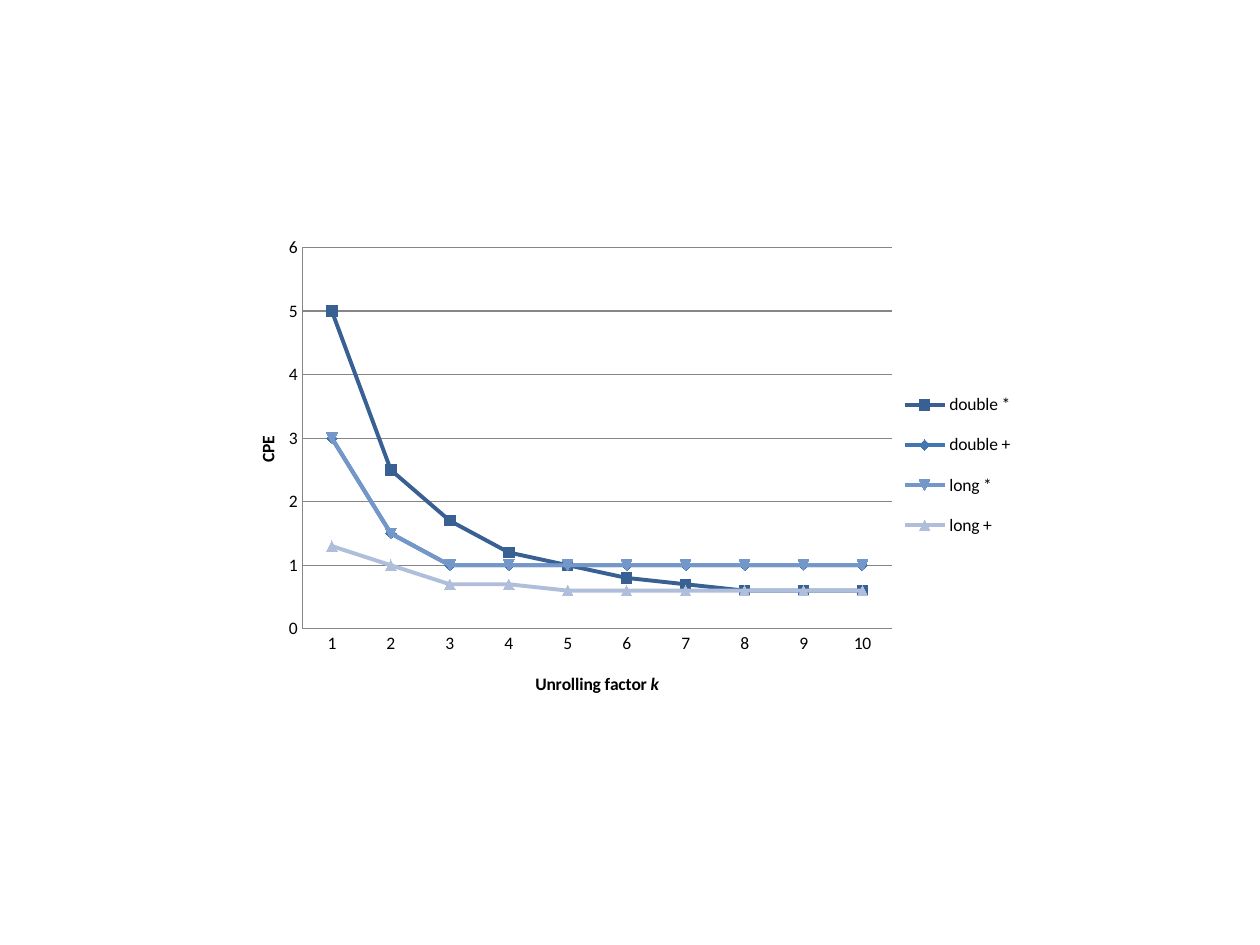
from typing import NamedTuple

from lxml.etree import SubElement
from pptx import Presentation
from pptx.chart.data import CategoryChartData
from pptx.dml.color import RGBColor
from pptx.enum.chart import XL_CHART_TYPE as ChartType
from pptx.enum.chart import XL_LEGEND_POSITION as LegendPosition
from pptx.enum.chart import XL_TICK_MARK as TickMark
from pptx.oxml.ns import qn
from pptx.util import Inches, Pt

FONT = "Calibri"
FONT_SIZE = Pt(10)
BLACK = RGBColor(0x00, 0x00, 0x00)
GRID_GRAY = RGBColor(0x86, 0x86, 0x86)
NAVY = RGBColor(0x38, 0x60, 0x93)
BLUE = RGBColor(0x43, 0x75, 0xB3)
SKY = RGBColor(0x73, 0x97, 0xC8)
PALE = RGBColor(0xAF, 0xBE, 0xDA)


class Measurement(NamedTuple):
    name: str
    color: RGBColor
    cpe: list[float]


MEASUREMENTS = [
    Measurement("double *", NAVY, [5, 2.5, 1.7, 1.2, 1, 0.8, 0.7, 0.6, 0.6, 0.6]),
    Measurement("double +", BLUE, [3, 1.5] + [1] * 8),
    Measurement("long *", SKY, [3, 1.5] + [1] * 8),
    Measurement("long +", PALE, [1.3, 1, 0.7, 0.7] + [0.6] * 6),
]


def style_font(font, *, bold: bool = False, italic: bool = False) -> None:
    font.name = FONT
    font.size = FONT_SIZE
    font.bold = bold
    font.italic = italic
    font.color.rgb = BLACK


def add_text(paragraph, text: str, *, bold: bool = False, italic: bool = False) -> None:
    run = paragraph.add_run()
    run.text = text
    style_font(run.font, bold=bold, italic=italic)


def place(element, *, after: str | None = None, inner: bool = False, **fractions: float) -> None:
    """Give a chart part a manual layout in fractions of the chart size."""
    for old_layout in element.findall(qn("c:layout")):
        element.remove(old_layout)
    layout = SubElement(element, qn("c:layout"))
    manual = SubElement(layout, qn("c:manualLayout"))
    if inner:
        SubElement(manual, qn("c:layoutTarget")).set("val", "inner")
    for key in ("x", "y"):
        SubElement(manual, qn(f"c:{key}Mode")).set("val", "edge")
    for key, value in fractions.items():
        SubElement(manual, qn(f"c:{key}")).set("val", str(value))
    index = 0 if after is None else element.index(element.find(qn(after))) + 1
    element.insert(index, layout)


def style_line(line, color: RGBColor, width: float) -> None:
    line.color.rgb = color
    line.width = Pt(width)


def style_axis(axis) -> None:
    axis.major_tick_mark = axis.minor_tick_mark = TickMark.NONE
    style_line(axis.format.line, GRID_GRAY, 0.75)
    style_font(axis.tick_labels.font)


def style_series(series, color: RGBColor) -> None:
    series.smooth = False
    style_line(series.format.line, color, 2.25)
    series.marker.size = 6
    series.marker.format.fill.solid()
    series.marker.format.fill.fore_color.rgb = color
    style_line(series.marker.format.line, color, 0.75)


def add_cpe_chart(slide) -> None:
    data = CategoryChartData()
    data.categories = [str(factor) for factor in range(1, 11)]
    for measurement in MEASUREMENTS:
        data.add_series(measurement.name, measurement.cpe)
    chart = slide.shapes.add_chart(
        ChartType.LINE_MARKERS, Inches(1.75), Inches(1.81), Inches(6.5), Inches(3.88), data
    ).chart
    chart.has_title = False
    style_font(chart.font)
    chart.plots[0].vary_by_categories = False
    for series, measurement in zip(chart.plots[0].series, MEASUREMENTS):
        style_series(series, measurement.color)

    factor_axis, cpe_axis = chart.category_axis, chart.value_axis
    for axis in (factor_axis, cpe_axis):
        style_axis(axis)
    cpe_axis.minimum_scale, cpe_axis.maximum_scale, cpe_axis.major_unit = 0, 6, 1
    cpe_axis.has_major_gridlines = True
    style_line(cpe_axis.major_gridlines.format.line, GRID_GRAY, 0.75)

    factor_title = factor_axis.axis_title.text_frame.paragraphs[0]
    add_text(factor_title, "Unrolling factor ", bold=True)
    add_text(factor_title, "k", bold=True, italic=True)
    cpe_frame = cpe_axis.axis_title.text_frame
    add_text(cpe_frame.paragraphs[0], "CPE", bold=True)

    chart.has_legend = True
    chart.legend.position = LegendPosition.RIGHT
    chart.legend.include_in_layout = False
    style_font(chart.legend.font)

    plot_area = chart.element.find(f".//{qn('c:plotArea')}")
    place(plot_area, inner=True, x=0.1, y=0.04, w=0.72, h=0.78)
    place(chart.element.find(f".//{qn('c:legend')}"), after="c:legendPos",
          x=0.82, y=0.3, w=0.16, h=0.37)
    factor_heading, cpe_heading = plot_area.iter(qn("c:title"))
    place(factor_heading, after="c:tx", x=0.38, y=0.9)
    place(cpe_heading, after="c:tx", x=0.04, y=0.42)
    body = cpe_heading.find(f".//{qn('a:bodyPr')}")
    body.set("rot", "-5400000")
    body.set("vert", "horz")


def main() -> None:
    presentation = Presentation()
    presentation.slide_width = Inches(10)
    presentation.slide_height = Inches(7.5)
    slide = presentation.slides.add_slide(presentation.slide_layouts[6])
    add_cpe_chart(slide)
    presentation.save("out.pptx")


if __name__ == "__main__":
    main()
